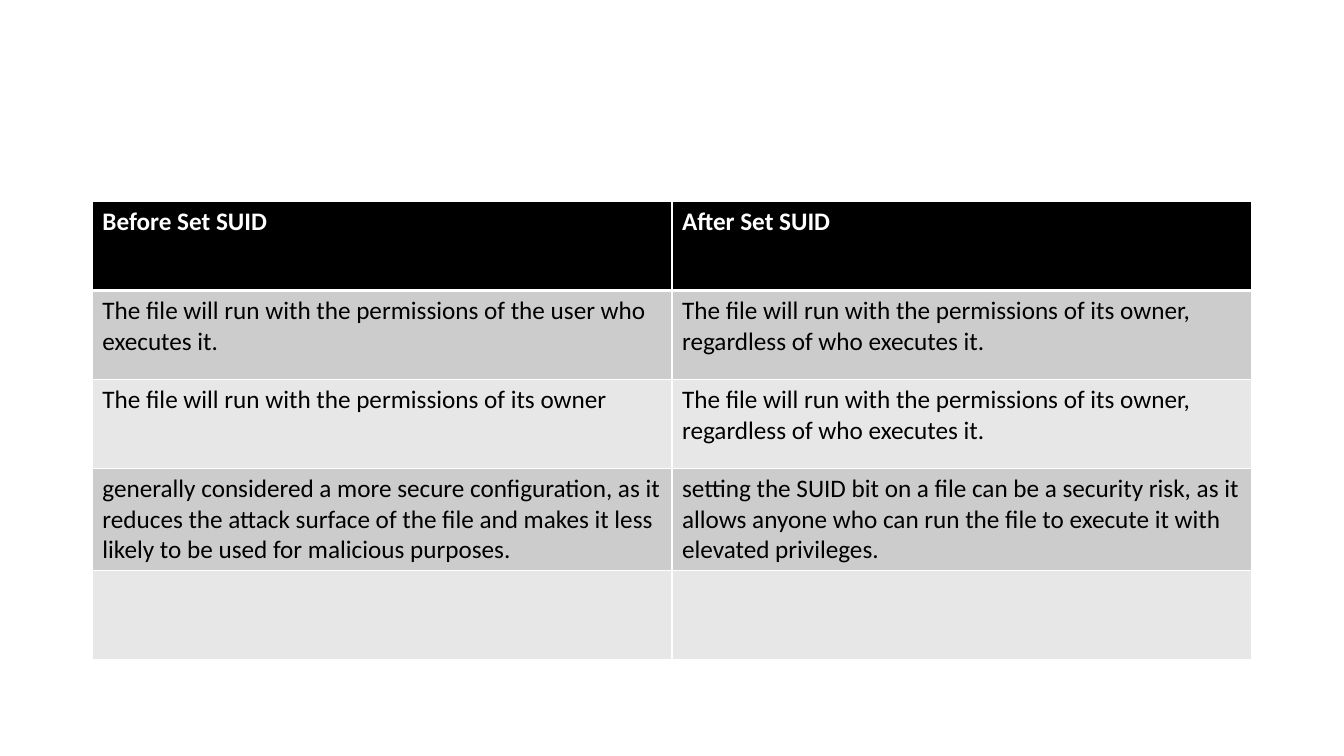
"""Build a slide with a table comparing a file before and after setting SUID."""
import pptx
import pptx.dml.color
import pptx.oxml.ns
import pptx.util
import lxml.etree

Pt = pptx.util.Pt


def color(hex_string):
    return pptx.dml.color.RGBColor.from_string(hex_string)


def add_border(cell, side, width):
    properties = cell._tc.get_or_add_tcPr()
    line = lxml.etree.SubElement(properties, pptx.oxml.ns.qn("a:ln" + side), w=str(Pt(width)))
    fill = lxml.etree.SubElement(line, pptx.oxml.ns.qn("a:solidFill"))
    lxml.etree.SubElement(fill, pptx.oxml.ns.qn("a:srgbClr"), val="FFFFFF")


rows = [
    ("Before Set SUID", "After Set SUID"),
    (
        "The file will run with the permissions of the user who executes it.",
        "The file will run with the permissions of its owner, regardless of who executes it.",
    ),
    (
        "The file will run with the permissions of its owner",
        "The file will run with the permissions of its owner, regardless of who executes it.",
    ),
    (
        "generally considered a more secure configuration, as it reduces the attack surface "
        "of the file and makes it less likely to be used for malicious purposes.",
        "setting the SUID bit on a file can be a security risk, as it allows anyone who can "
        "run the file to execute it with elevated privileges.",
    ),
    ("", ""),
]
row_fills = ["000000", "CCCCCC", "E7E7E7", "CCCCCC", "E7E7E7"]
row_height = 63.5

presentation = pptx.Presentation()
presentation.slide_width = Pt(960)
presentation.slide_height = Pt(540)
slide = presentation.slides.add_slide(presentation.slide_layouts[6])

table = slide.shapes.add_table(
    len(rows), 2, Pt(66), Pt(144), Pt(828), Pt(row_height * len(rows))
).table

for row_index, (texts, row_fill) in enumerate(zip(rows, row_fills)):
    is_header = row_index == 0
    for column_index, text in enumerate(texts):
        cell = table.cell(row_index, column_index)
        add_border(cell, "L", 1)
        add_border(cell, "R", 1)
        add_border(cell, "T", 3 if row_index == 1 else 1)
        add_border(cell, "B", 3 if is_header else 1)
        cell.fill.solid()
        cell.fill.fore_color.rgb = color(row_fill)
        cell.text_frame.text = text
        for run in cell.text_frame.paragraphs[0].runs:
            run.font.name = "Calibri"
            run.font.size = Pt(18)
            run.font.bold = is_header
            run.font.color.rgb = color("FFFFFF" if is_header else "000000")

presentation.save("out.pptx")
